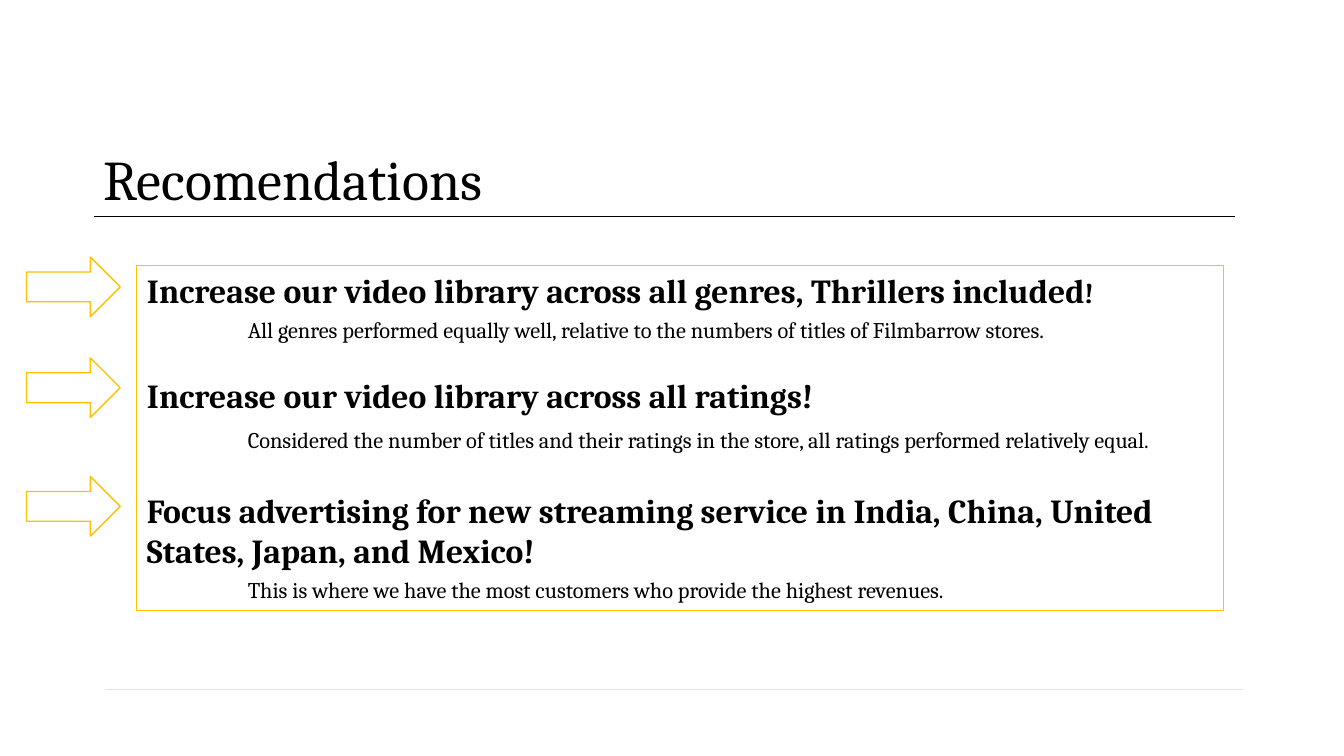
from pptx import Presentation
from pptx.dml.color import RGBColor
from pptx.enum.shapes import MSO_CONNECTOR, MSO_SHAPE
from pptx.enum.text import MSO_ANCHOR, MSO_AUTO_SIZE, PP_ALIGN
from pptx.oxml.ns import qn
from pptx.util import Cm, Pt
from lxml.etree import SubElement

BLACK = RGBColor(0x00, 0x00, 0x00)
AMBER = RGBColor(0xFF, 0xC0, 0x00)
PALE_GREY = RGBColor(0xE8, 0xE2, 0xE8)

TITLE = {"size": Pt(40), "bold": False}
HEADING = {"size": Pt(24), "bold": True}
SMALL_MARK = {"size": Pt(20), "bold": True}
DETAIL = {"size": Pt(16), "bold": False}
DETAIL_INDENT = Cm(2.54)

# Each entry: heading runs, space before heading, detail, space before detail
RECOMMENDATIONS = [
    ([("Increase our video library across all genres, Thrillers included", HEADING),
      ("!", SMALL_MARK)], 0,
     "All genres performed equally well, relative to the numbers of titles "
     "of Filmbarrow stores.", 4),
    ([("Increase our video library across all ratings!", HEADING)], 23,
     "Considered the number of titles and their ratings in the store, "
     "all ratings performed relatively equal.", 8),
    ([("Focus advertising for new streaming service in India, China, "
       "United States, Japan, and Mexico!", HEADING)], 26,
     "This is where we have the most customers who provide the highest revenues.", 4),
]
ARROW_TOPS = [6.48, 9.02, 12.01]


class SlideBuilder:
    font = "Cambria"

    def __init__(self, prs):
        self.s = prs.slides.add_slide(prs.slide_layouts[1])

    def place(self, sp, left, top, width, height):
        box = {"left": left, "top": top, "width": width, "height": height}
        for name, value in box.items():
            setattr(sp, name, Cm(value))

    def outline(self, sp, color, width):
        sp.line.color.rgb = color
        sp.line.width = Pt(width)

    def frame(self, sp, anchor):
        values = {"word_wrap": True, "auto_size": MSO_AUTO_SIZE.NONE,
                  "vertical_anchor": anchor}
        for name, value in values.items():
            setattr(sp.text_frame, name, value)
        return sp.text_frame

    def paragraph(self, p, runs, before=0, indent=0):
        values = {"alignment": PP_ALIGN.LEFT, "line_spacing": 1.0,
                  "space_before": Pt(before), "space_after": Pt(0)}
        for name, value in values.items():
            setattr(p, name, value)
        pPr = p._p.get_or_add_pPr()
        pPr.set("marL", str(int(indent)))
        pPr.set("indent", "0")
        SubElement(pPr, qn("a:buNone"))
        for text, style in runs:
            r = p.add_run()
            r.text = text
            r.font.color.rgb = BLACK
            for name, value in {"name": self.font, **style}.items():
                setattr(r.font, name, value)

    def title(self, text, *box):
        sp = self.s.shapes.title
        self.place(sp, *box)
        tf = self.frame(sp, MSO_ANCHOR.BOTTOM)
        self.paragraph(tf.paragraphs[0], [(text, TITLE)])

    def recommendations(self, items, *box):
        sp = self.s.placeholders[1]
        self.place(sp, *box)
        self.outline(sp, AMBER, 0.75)
        tf = self.frame(sp, MSO_ANCHOR.TOP)
        for i, (heading, gap, detail, detail_gap) in enumerate(items):
            p = tf.add_paragraph() if i else tf.paragraphs[0]
            self.paragraph(p, heading, gap)
            self.paragraph(tf.add_paragraph(), [(detail, DETAIL)],
                           detail_gap, DETAIL_INDENT)

    def rule(self, left, right, y, color, width):
        line = self.s.shapes.add_connector(
            MSO_CONNECTOR.STRAIGHT, Cm(left), Cm(y), Cm(right), Cm(y))
        self.outline(line, color, width)
        SubElement(line._element.spPr, qn("a:effectLst"))

    def arrow(self, *box):
        sp = self.s.shapes.add_shape(MSO_SHAPE.RIGHT_ARROW, *map(Cm, box))
        sp.shadow.inherit = False
        sp.fill.background()
        self.outline(sp, AMBER, 1)


def main():
    prs = Presentation()
    prs.slide_width, prs.slide_height = Cm(33.87), Cm(19.05)
    slide = SlideBuilder(prs)
    slide.rule(2.64, 31.32, 17.37, PALE_GREY, 0.85)
    slide.rule(2.36, 31.12, 5.44, BLACK, 0.5)
    slide.title("Recomendations", 2.36, 2.44, 27.81, 3.02)
    slide.recommendations(RECOMMENDATIONS, 3.45, 6.68, 27.38, 8.71)
    for top in ARROW_TOPS:
        slide.arrow(0.67, top, 2.36, 1.5)
    prs.save("out.pptx")


if __name__ == "__main__":
    main()
